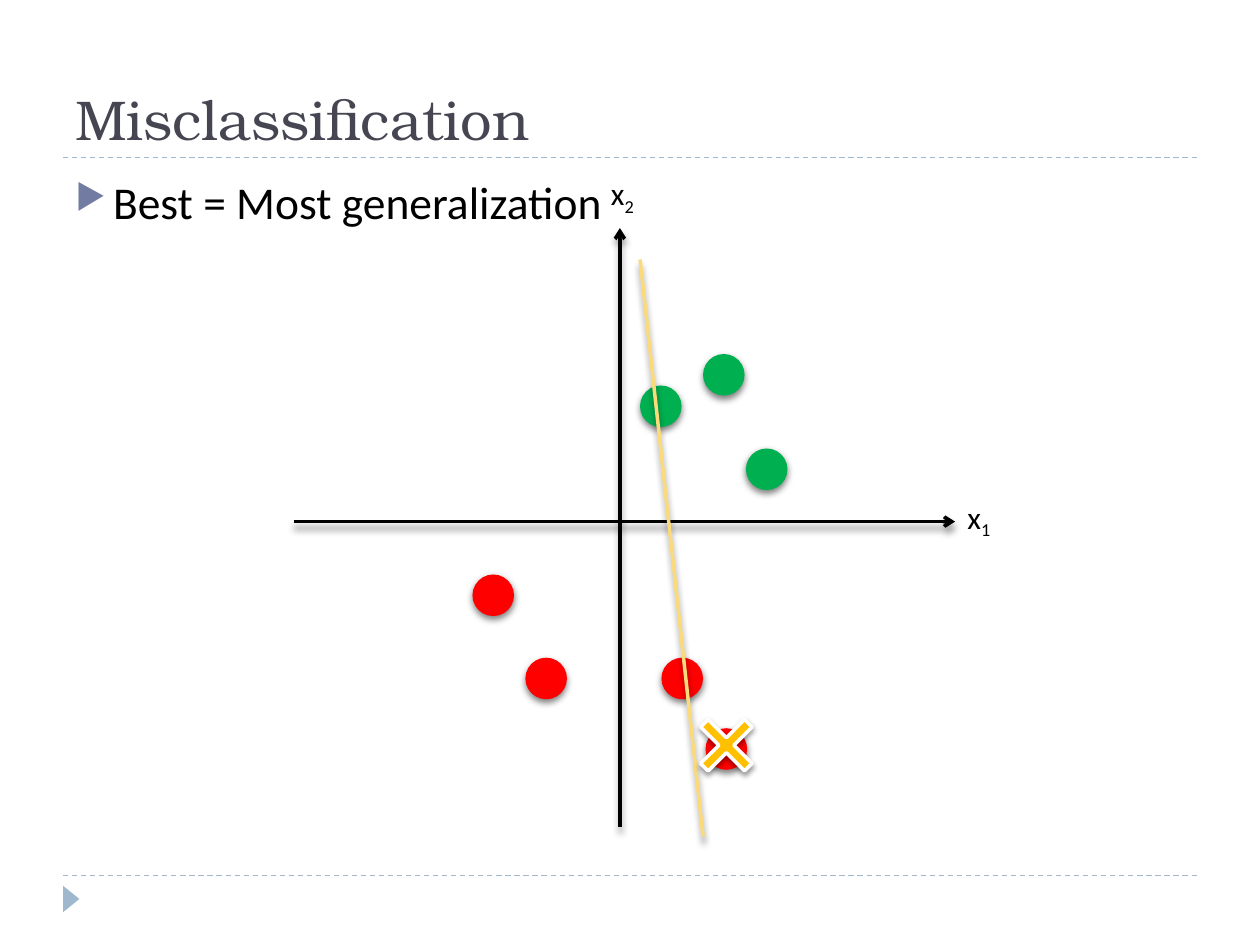
from dataclasses import dataclass
from typing import Optional

from lxml import etree
from pptx import Presentation
from pptx.dml.color import RGBColor
from pptx.enum import dml, shapes, text
from pptx.oxml import ns
from pptx.util import Inches, Pt

COLORS = {
    "rule": "9FB8CD",
    "title": "464653",
    "bullet": "727CA3",
    "black": "000000",
    "green": "00B050",
    "red": "FF0000",
    "boundary": "FADA7A",
    "cross": "FFC000",
    "white": "FFFFFF",
}
BODY_FONT = "Calibri"
TITLE_FONT = "TeX Gyre Bonum"
DOT_SIZE = 0.33


@dataclass
class Shadow:
    opacity: int
    blur: float
    distance: float


@dataclass
class Line:
    start: tuple[float, float]
    end: tuple[float, float]
    color: str
    width: float = 2
    dashed: bool = False
    arrow: bool = False
    shadow: Optional[Shadow] = None


@dataclass
class Shape:
    kind: shapes.MSO_SHAPE
    box: tuple[float, float, float, float]
    color: str
    shadow: Optional[Shadow] = None
    outline: Optional[str] = None
    rotation: float = 0
    adjustment: Optional[float] = None


LINE_SHADOW = Shadow(40, 4, 3.4)
DOT_SHADOW = Shadow(50, 4, 2)
CROSS_SHADOW = Shadow(40, 3, 2)

RULES = [Line((0.5, y), (9.5, y), "rule", 0.75, dashed=True) for y in (6.95, 1.25)]
AXES = [
    Line((4.92, 6.56), (4.92, 1.81), "black", arrow=True, shadow=LINE_SHADOW),
    Line((2.33, 4.14), (7.58, 4.14), "black", arrow=True, shadow=LINE_SHADOW),
]
BOUNDARY = Line((5.08, 2.06), (5.58, 6.64), "boundary", shadow=LINE_SHADOW)
MARKER = Shape(shapes.MSO_SHAPE.ISOSCELES_TRIANGLE, (0.46, 7.07, 0.21, 0.13), "rule", rotation=90)
CROSS = Shape(shapes.MSO_SHAPE.MATH_MULTIPLY, (5.43, 5.58, 0.67, 0.67), "cross",
              CROSS_SHADOW, outline="white", adjustment=0.126)
POINTS = {
    "green": [(5.58, 2.81), (5.92, 3.56), (5.08, 3.06)],
    "red": [(3.75, 4.56), (4.17, 5.22), (5.25, 5.22)],
}
MISCLASSIFIED = (5.6, 5.78)
AXIS_LABELS = {"1": (7.58, 3.9), "2": (4.75, 1.33)}


def rgb(name: str) -> RGBColor:
    return RGBColor.from_string(COLORS[name])


def add_xml(parent, tag: str, **attrs):
    return etree.SubElement(parent, ns.qn(tag), {k: str(v) for k, v in attrs.items()})


def add_shadow(effects, shadow: Shadow) -> None:
    outer = add_xml(effects, "a:outerShdw", blurRad=Pt(shadow.blur), dist=Pt(shadow.distance),
                    dir=90 * 60000, rotWithShape=0)
    color = add_xml(outer, "a:srgbClr", val=COLORS["black"])
    add_xml(color, "a:alpha", val=shadow.opacity * 1000)


def draw_line(s, line: Line) -> None:
    points = [Inches(v) for v in (*line.start, *line.end)]
    connector = s.shapes.add_connector(shapes.MSO_CONNECTOR.STRAIGHT, *points)
    connector.line.color.rgb = rgb(line.color)
    connector.line.width = Pt(line.width)
    if line.dashed:
        connector.line.dash_style = dml.MSO_LINE.DASH
    if line.arrow:
        add_xml(connector.line._get_or_add_ln(), "a:tailEnd", type="arrow")
    effects = add_xml(connector._element.spPr, "a:effectLst")
    if line.shadow:
        add_shadow(effects, line.shadow)


def draw_shape(s, shape: Shape) -> None:
    sp = s.shapes.add_shape(shape.kind, *[Inches(v) for v in shape.box])
    sp.rotation = shape.rotation
    if shape.adjustment is not None:
        sp.adjustments[0] = shape.adjustment
    sp.fill.solid()
    sp.fill.fore_color.rgb = rgb(shape.color)
    if shape.outline:
        sp.line.color.rgb = rgb(shape.outline)
        sp.line.width = Pt(2)
    else:
        sp.line.fill.background()
    sp.shadow.inherit = False
    if shape.shadow:
        add_shadow(sp._element.spPr.find(ns.qn("a:effectLst")), shape.shadow)


def draw_dot(s, place: tuple[float, float], color: str) -> None:
    draw_shape(s, Shape(shapes.MSO_SHAPE.OVAL, (*place, DOT_SIZE, DOT_SIZE), color, DOT_SHADOW))


def format_run(r, size: float, font: str, color: str) -> None:
    r.font.size = Pt(size)
    r.font.name = font
    r.font.color.rgb = rgb(color)


def draw_text(s, box: tuple[float, float, float, float], words: str, size: float,
              font: str = BODY_FONT, color: str = "black", wrap: bool = True):
    tf = s.shapes.add_textbox(*[Inches(v) for v in box]).text_frame
    tf.word_wrap = wrap
    p = tf.paragraphs[0]
    p.text = words
    format_run(p.runs[0], size, font, color)
    return tf


def draw_axis_label(s, index: str, place: tuple[float, float]) -> None:
    tf = draw_text(s, (*place, 0.41, 0.4), "x", 18, wrap=False)
    tf.auto_size = text.MSO_AUTO_SIZE.SHAPE_TO_FIT_TEXT
    r = tf.paragraphs[0].add_run()
    r.text = index
    format_run(r, 18, BODY_FONT, "black")
    r.font._element.set("baseline", "-25000")


def add_bullet(p) -> None:
    p.space_before = Pt(6)
    props = p._p.get_or_add_pPr()
    props.set("marL", str(Inches(0.3)))
    props.set("indent", str(Inches(-0.3)))
    add_xml(add_xml(props, "a:buClr"), "a:srgbClr", val=COLORS["bullet"])
    add_xml(props, "a:buSzPct", val=76000)
    add_xml(props, "a:buChar", char="▶")


def main() -> None:
    prs = Presentation()
    prs.slide_width, prs.slide_height = Inches(10), Inches(7.5)
    s = prs.slides.add_slide(prs.slide_layouts[6])

    for rule in RULES:
        draw_line(s, rule)
    draw_shape(s, MARKER)

    title = draw_text(s, (0.5, 0.17, 9, 1.08), "Misclassification", 32, TITLE_FONT, "title")
    title.vertical_anchor = text.MSO_ANCHOR.BOTTOM
    body = draw_text(s, (0.5, 1.33, 9, 5.4), "Best = Most generalization", 26)
    add_bullet(body.paragraphs[0])

    for axis in AXES:
        draw_line(s, axis)
    for index, place in AXIS_LABELS.items():
        draw_axis_label(s, index, place)
    for color, places in POINTS.items():
        for place in places:
            draw_dot(s, place, color)
    draw_line(s, BOUNDARY)
    draw_dot(s, MISCLASSIFIED, "red")
    draw_shape(s, CROSS)

    prs.save("out.pptx")


if __name__ == "__main__":
    main()
